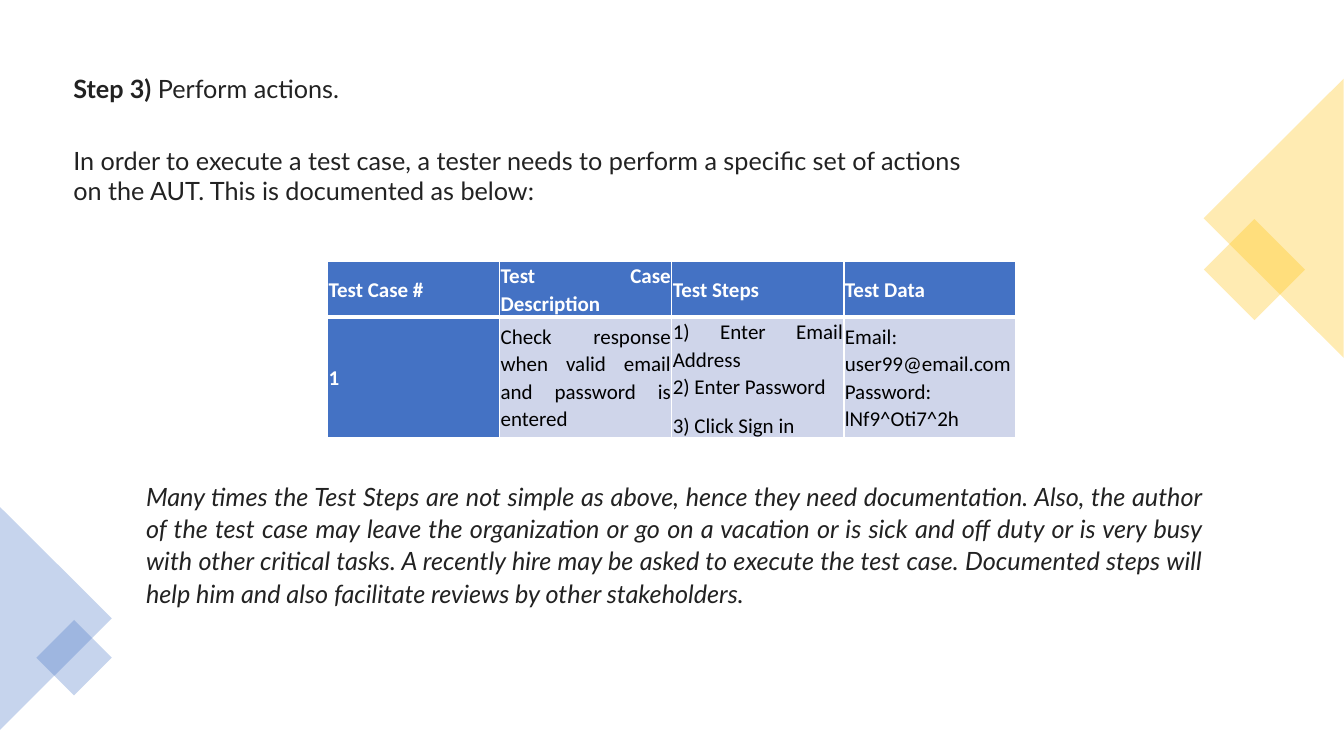
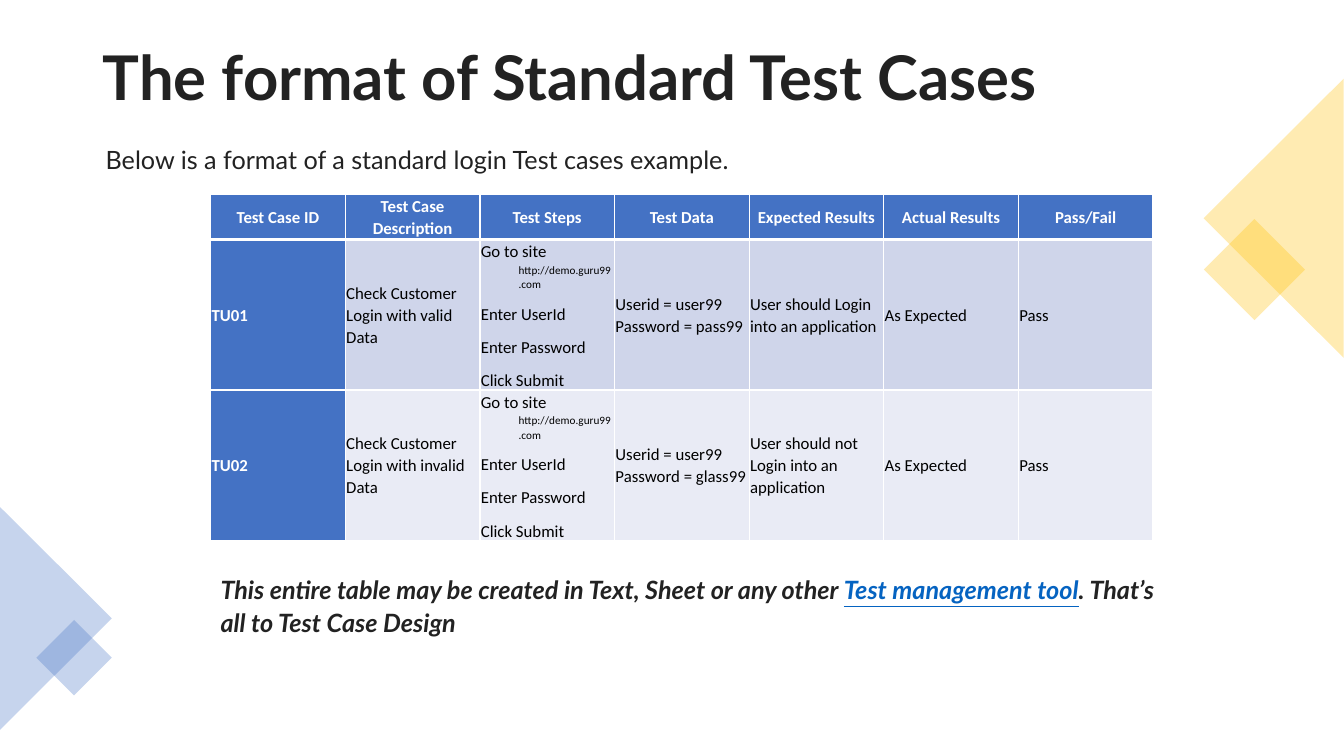
"""Build two slides on documenting and formatting test cases."""
from dataclasses import dataclass, replace
from typing import NamedTuple

from lxml.etree import SubElement
from pptx import Presentation
from pptx.dml.color import RGBColor as RGB
from pptx.enum.shapes import MSO_SHAPE as SHAPE
from pptx.enum.text import MSO_ANCHOR as ANCHOR, MSO_AUTO_SIZE as AUTO, PP_ALIGN as ALIGN
from pptx.oxml.ns import qn
from pptx.util import Pt


@dataclass(frozen=True)
class Theme:
    ink: str = "222222"
    white: str = "FFFFFF"
    black: str = "000000"
    blue: str = "4472C4"
    gold: str = "FFC000"
    link: str = "0563C1"
    bands: tuple[str, ...] = ("CFD5EA", "E9EBF5")
    text_font: str = "Lato"
    table_font: str = "Calibri"
    title_size: float = 44
    text_size: float = 18
    url_size: float = 8
    line: float = 1.07
    after: float = 8
    opacity: int = 30000
    cell_inset: float = 0.7
    thin: float = 1
    thick: float = 3


T = Theme()


class Box(NamedTuple):
    left: float
    top: float
    width: float
    height: float

    def lengths(self) -> tuple[Pt, ...]:
        return tuple(Pt(v) for v in self)


@dataclass(frozen=True)
class Style:
    size: float = T.text_size
    color: str = T.ink
    font: str = T.text_font
    bold: bool = False
    italic: bool = False
    underline: bool = False


class Span(NamedTuple):
    text: str
    style: Style


@dataclass(frozen=True)
class Para:
    spans: tuple[Span, ...]
    align: ALIGN = ALIGN.LEFT
    line: float = T.line
    after: float = 0
    hanging: float = 0


class Decoration(NamedTuple):
    kind: SHAPE
    box: Box
    rotation: float
    color: str


@dataclass(frozen=True)
class Grid:
    box: Box
    size: float
    head_align: ALIGN
    body_align: ALIGN
    heights: tuple[float, ...]
    rows: tuple[tuple, ...]


class Step(NamedTuple):
    text: str
    after: float = 0
    hanging: float = 0
    url: str = ""


DECORATIONS = (
    Decoration(SHAPE.RECTANGLE, Box(870.48, 167.04, 51.12, 51.12), 45, T.gold),
    Decoration(SHAPE.ISOSCELES_TRIANGLE, Box(810, 105.84, 199.44, 100.08), 270, T.gold),
    Decoration(SHAPE.ISOSCELES_TRIANGLE, Box(-39.6, 401.76, 159.12, 79.92), 90, T.blue),
    Decoration(SHAPE.RECTANGLE, Box(33.84, 450.72, 38.16, 38.16), 45, T.blue),
)

ACTIONS = Grid(
    Box(234, 186.48, 491.76, 110.16), 15, ALIGN.JUSTIFY, ALIGN.JUSTIFY, (32.4, 77.76),
    (
        ("Test Case #", "Test Case Description", "Test Steps", "Test Data"),
        (
            "1",
            "Check response when valid email and password is entered",
            (Step("1) Enter Email Address"), Step("2) Enter Password", T.after),
             Step("3) Click Sign in")),
            (Step("Email: user99@email.com"), Step("Password: lNf9^Oti7^2h")),
        ),
    ),
)

LOGIN_STEPS = (
    Step("Go to site ", T.after, 27, "http://demo.guru99.com"),
    *(Step(s, T.after, 27) for s in ("Enter UserId", "Enter Password", "Click Submit")),
)

LOGIN_CASES = Grid(
    Box(150.48, 138.96, 673.2, 193.68), 12, ALIGN.CENTER, ALIGN.LEFT, (23.76, 84.96, 84.96),
    (
        ("Test Case ID", "Test Case Description", "Test Steps", "Test Data",
         "Expected Results", "Actual Results", "Pass/Fail"),
        ("TU01", "Check Customer Login with valid Data", LOGIN_STEPS,
         "Userid = user99 Password = pass99", "User should Login into an application",
         "As Expected", "Pass"),
        ("TU02", "Check Customer Login with invalid Data", LOGIN_STEPS,
         "Userid = user99 Password = glass99",
         "User should not Login into an application", "As Expected", "Pass"),
    ),
)


def write(tf, paras: tuple[Para, ...]) -> None:
    for i, para in enumerate(paras):
        p = tf.add_paragraph() if i else tf.paragraphs[0]
        p.alignment = para.align
        p.line_spacing = para.line
        p.space_after = Pt(para.after)
        if para.hanging:
            pPr = p._p.get_or_add_pPr()
            pPr.set("marL", str(Pt(para.hanging)))
            pPr.set("indent", str(-Pt(para.hanging)))
        for span in para.spans:
            r = p.add_run()
            r.text = span.text
            style = span.style
            r.font.size = Pt(style.size)
            r.font.name = style.font
            r.font.bold = style.bold
            r.font.italic = style.italic
            r.font.underline = style.underline
            r.font.color.rgb = RGB.from_string(style.color)


def add_text(slide, box: Box, *paras: Para) -> None:
    tf = slide.shapes.add_textbox(*box.lengths()).text_frame
    tf.word_wrap = True
    write(tf, paras)


def add_title(slide, box: Box, text: str, bottom_inset: float) -> None:
    sp = slide.shapes.title
    sp.left, sp.top, sp.width, sp.height = box.lengths()
    tf = sp.text_frame
    tf.auto_size = AUTO.NONE
    tf.vertical_anchor = ANCHOR.MIDDLE
    tf.margin_bottom = Pt(bottom_inset)
    write(tf, (Para((Span(text, Style(T.title_size, bold=True)),), line=0.9),))


def decorate_master(prs, slide) -> None:
    tree = prs.slide_master.shapes.element
    for i, deco in enumerate(DECORATIONS):
        sp = slide.shapes.add_shape(deco.kind, *deco.box.lengths())
        sp.shadow.inherit = False
        sp.rotation = deco.rotation
        sp.line.fill.background()
        sp.fill.solid()
        sp.fill.fore_color.rgb = RGB.from_string(deco.color)
        color = next(sp.element.iter(qn("a:srgbClr")))
        SubElement(color, qn("a:alpha"), val=str(T.opacity))
        next(sp.element.iter(qn("p:cNvPr"))).set("id", str(100 + i))
        tree.insert(2 + i, sp.element)


def set_borders(cell, top: float, bottom: float) -> None:
    tcPr = cell._tc.get_or_add_tcPr()
    widths = {"a:lnL": T.thin, "a:lnR": T.thin, "a:lnT": top, "a:lnB": bottom}
    for tag, width in widths.items():
        ln = SubElement(tcPr, qn(tag), w=str(Pt(width)))
        SubElement(SubElement(ln, qn("a:solidFill")), qn("a:srgbClr"), val=T.white)


def cell_paras(content: str | tuple[Step, ...], style: Style, align: ALIGN) -> tuple[Para, ...]:
    steps = (Step(content),) if isinstance(content, str) else content
    paras = []
    for step in steps:
        spans = [Span(step.text, style)]
        if step.url:
            spans.append(Span(step.url, replace(style, size=T.url_size)))
        paras.append(Para(tuple(spans), align, after=step.after, hanging=step.hanging))
    return tuple(paras)


def add_grid(slide, grid: Grid) -> None:
    n_cols = len(grid.rows[0])
    table = slide.shapes.add_table(len(grid.rows), n_cols, *grid.box.lengths()).table
    for col in table.columns:
        col.width = Pt(grid.box.width / n_cols)
    for r, (height, row) in enumerate(zip(grid.heights, grid.rows)):
        table.rows[r].height = Pt(height)
        for c, content in enumerate(row):
            cell = table.cell(r, c)
            heading = r == 0 or c == 0
            set_borders(cell, T.thick if r == 1 else T.thin, T.thick if r == 0 else T.thin)
            fill = T.blue if heading else T.bands[(r - 1) % len(T.bands)]
            cell.fill.solid()
            cell.fill.fore_color.rgb = RGB.from_string(fill)
            cell.vertical_anchor = ANCHOR.MIDDLE
            cell.margin_left = cell.margin_right = Pt(T.cell_inset)
            cell.margin_top = cell.margin_bottom = Pt(T.cell_inset)
            style = Style(grid.size, T.white if heading else T.black, T.table_font, heading)
            align = grid.body_align if r else grid.head_align
            write(cell.text_frame, cell_paras(content, style, align))


def add_actions_slide(slide) -> None:
    add_text(
        slide, Box(45.36, 47.52, 653.04, 104.4),
        Para((Span("Step 3)", Style(bold=True)), Span(" Perform actions.", Style())),
             ALIGN.JUSTIFY, after=29.6),
        Para((Span("In order to execute a test case, a tester needs to perform a specific set "
                   "of actions on the AUT. This is documented as below:", Style()),), line=1.0),
    )
    add_grid(slide, ACTIONS)
    note = (
        "Many times the Test Steps are not simple as above, hence they need documentation. "
        "Also, the author of the test case may leave the organization or go on a vacation or "
        "is sick and off duty or is very busy with other critical tasks. A recently hire may "
        "be asked to execute the test case. Documented steps will help him and also "
        "facilitate reviews by other stakeholders."
    )
    add_text(slide, Box(97.2, 338.4, 768.96, 99.36),
             Para((Span(note, Style(italic=True)),), ALIGN.JUSTIFY, after=T.after))


def add_format_slide(slide) -> None:
    add_title(slide, Box(66.24, 28.8, 828, 104.4), "The format of Standard Test Cases", 51.1)
    add_text(slide, Box(68.4, 99.36, 480.24, 28.8),
             Para((Span("Below is a format of a standard login Test cases example.", Style()),),
                  line=1.0))
    add_grid(slide, LOGIN_CASES)
    strong = Style(bold=True, italic=True)
    add_text(
        slide, Box(150.48, 405.36, 691.2, 69.12),
        Para((
            Span("This entire table may be created in Text, Sheet or any other ", strong),
            Span("Test management tool", replace(strong, color=T.link, underline=True)),
            Span(". That’s all to Test Case Design", strong),
        )),
    )


def main() -> None:
    prs = Presentation()
    prs.slide_width, prs.slide_height = Pt(960), Pt(540)
    actions = prs.slides.add_slide(prs.slide_layouts[6])
    decorate_master(prs, actions)
    add_actions_slide(actions)
    add_format_slide(prs.slides.add_slide(prs.slide_layouts[5]))
    prs.save("out.pptx")


if __name__ == "__main__":
    main()
